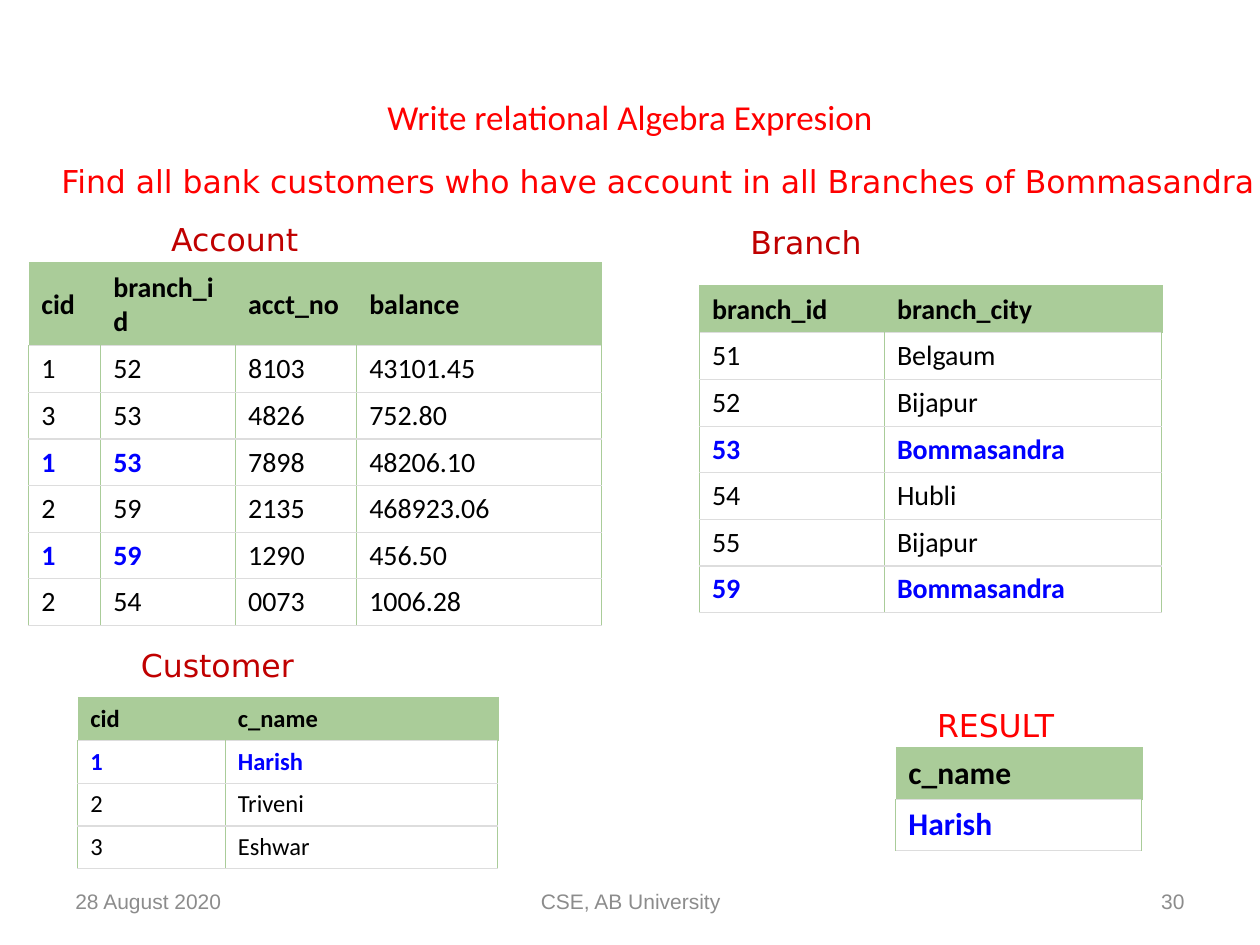
from lxml import etree
from pptx import Presentation
from pptx import util as u
from pptx.dml.color import RGBColor
from pptx.enum import text
from pptx.oxml import ns

RED = RGBColor(0xFF, 0x00, 0x00)
DARK_RED = RGBColor(0xC0, 0x00, 0x00)
BLACK = RGBColor(0x00, 0x00, 0x00)
BLUE = RGBColor(0x00, 0x00, 0xFF)
GREEN = RGBColor(0xAA, 0xCC, 0x99)
LIGHT_GRAY = RGBColor(0xDD, 0xDD, 0xDD)
GRAY = RGBColor(0x8C, 0x8C, 0x8C)

ACCOUNT = [
    ["cid", "branch_id", "acct_no", "balance"],
    ["1", "52", "8103", "43101.45"],
    ["3", "53", "4826", "752.80"],
    ["1", "53", "7898", "48206.10"],
    ["2", "59", "2135", "468923.06"],
    ["1", "59", "1290", "456.50"],
    ["2", "54", "0073", "1006.28"],
]
BRANCH = [
    ["branch_id", "branch_city"],
    ["51", "Belgaum"],
    ["52", "Bijapur"],
    ["53", "Bommasandra"],
    ["54", "Hubli"],
    ["55", "Bijapur"],
    ["59", "Bommasandra"],
]
CUSTOMER = [["cid", "c_name"], ["1", "Harish"], ["2", "Triveni"], ["3", "Eshwar"]]
RESULT = [["c_name"], ["Harish"]]


def add_run(p, words, size, font, color, bold=False):
    """Append one formatted run to a paragraph."""
    r = p.add_run()
    r.text = words
    r.font.size = u.Pt(size)
    r.font.name = font
    r.font.color.rgb = color
    r.font.bold = bold


def set_title(s, words):
    """Place and fill the title placeholder."""
    sp = s.shapes.title
    sp.left, sp.top, sp.width, sp.height = map(u.Cm, (1.27, 0.76, 22.86, 3.18))
    tf = sp.text_frame
    tf.vertical_anchor = text.MSO_ANCHOR.MIDDLE
    p = tf.paragraphs[0]
    p.alignment = text.PP_ALIGN.CENTER
    add_run(p, words, 20, "Calibri", RED)


def add_text(s, words, left, top, width, size, font, color):
    """Add a one-line text box and return it."""
    sp = s.shapes.add_textbox(*map(u.Cm, (left, top, width, 1.02)))
    add_run(sp.text_frame.paragraphs[0], words, size, font, color)
    return sp


def add_label(s, words, left, top, width, color=DARK_RED):
    """Add an unwrapped label that fits its text."""
    tf = add_text(s, words, left, top, width, 18, "DejaVu Sans", color).text_frame
    tf.word_wrap = False
    tf.auto_size = text.MSO_AUTO_SIZE.SHAPE_TO_FIT_TEXT


def add_footer(s, words, left, width, align):
    """Add one part of the footer line."""
    tf = add_text(s, words, left, 17.65, width, 12, "Arial", GRAY).text_frame
    tf.word_wrap = True
    tf.vertical_anchor = text.MSO_ANCHOR.MIDDLE
    tf.paragraphs[0].alignment = align


def set_borders(cell, **sides):
    """Draw the cell borders, each given as (colour, points)."""
    tc_pr = cell._tc.get_or_add_tcPr()
    for i, side in enumerate("LRTB"):
        color, width = sides[side]
        ln = etree.Element(ns.qn("a:ln" + side), w=str(u.Pt(width)))
        fill = etree.SubElement(ln, ns.qn("a:solidFill"))
        etree.SubElement(fill, ns.qn("a:srgbClr"), val=str(color))
        tc_pr.insert(i, ln)


def format_cell(cell, is_header, is_last):
    """Give a cell its fill, anchor and borders."""
    if is_header:
        cell.fill.solid()
        cell.fill.fore_color.rgb = GREEN
        cell.vertical_anchor = text.MSO_ANCHOR.MIDDLE
        set_borders(cell, L=(GREEN, 0), R=(GREEN, 1.5 if is_last else 0),
                    T=(GREEN, 1.5), B=(LIGHT_GRAY, 0.75))
    else:
        cell.fill.background()
        set_borders(cell, L=(GREEN, 0.75), R=(GREEN, 0.75),
                    T=(LIGHT_GRAY, 0.75), B=(LIGHT_GRAY, 0.75))


def add_relation(s, rows, left, top, widths, row_height, size,
                 header_height=None, matches=(), match_cols=2):
    """Add a relation; matching rows are blue in their first columns."""
    heights = [header_height or row_height] + [row_height] * (len(rows) - 1)
    frame = s.shapes.add_table(len(rows), len(widths), u.Cm(left), u.Cm(top),
                               u.Cm(sum(widths)), u.Cm(sum(heights)))
    table = frame.table
    table.horz_banding = False
    for col, width in zip(table.columns, widths):
        col.width = u.Cm(width)
    for row, height in zip(table.rows, heights):
        row.height = u.Cm(height)
    for i, values in enumerate(rows):
        for j, value in enumerate(values):
            cell = table.cell(i, j)
            match = i in matches and j < match_cols
            format_cell(cell, i == 0, j == len(widths) - 1)
            add_run(cell.text_frame.paragraphs[0], value, size, "Calibri",
                    BLUE if match else BLACK, i == 0 or match)


def main():
    """Build the slide and save it."""
    prs = Presentation()
    prs.slide_width, prs.slide_height = u.Cm(25.4), u.Cm(19.05)
    s = prs.slides.add_slide(prs.slide_layouts[5])

    set_title(s, "Write relational Algebra Expresion")
    add_footer(s, "28 August 2020", 1.27, 5.92, text.PP_ALIGN.LEFT)
    add_footer(s, "CSE, AB University", 8.69, 8.05, text.PP_ALIGN.CENTER)
    add_footer(s, "30", 18.21, 5.92, text.PP_ALIGN.RIGHT)

    add_relation(s, ACCOUNT, 0.58, 5.31, [1.45, 2.72, 2.44, 4.93], 0.94, 16,
                 header_height=1.66, matches=(3, 5))
    add_relation(s, BRANCH, 14.1, 5.77, [3.73, 5.59], 0.94, 16, matches=(3, 6))
    add_relation(s, CUSTOMER, 1.57, 14.07, [2.97, 5.49], 0.86, 14, matches=(1,))
    add_relation(s, RESULT, 18.06, 15.09, [4.95], 1.03, 18, matches=(1,))

    add_label(s, "Branch", 14.88, 4.37, 2.74)
    add_label(s, "Account", 3.2, 4.32, 3.07)
    add_label(s, "Customer", 2.59, 12.9, 3.63)
    add_label(s, "RESULT", 18.64, 14.1, 2.97, RED)
    add_label(s, "Find all bank customers who have account in all Branches of "
              "Bommasandra", 0.99, 3.15, 24.84, RED)
    prs.save("out.pptx")


main()
